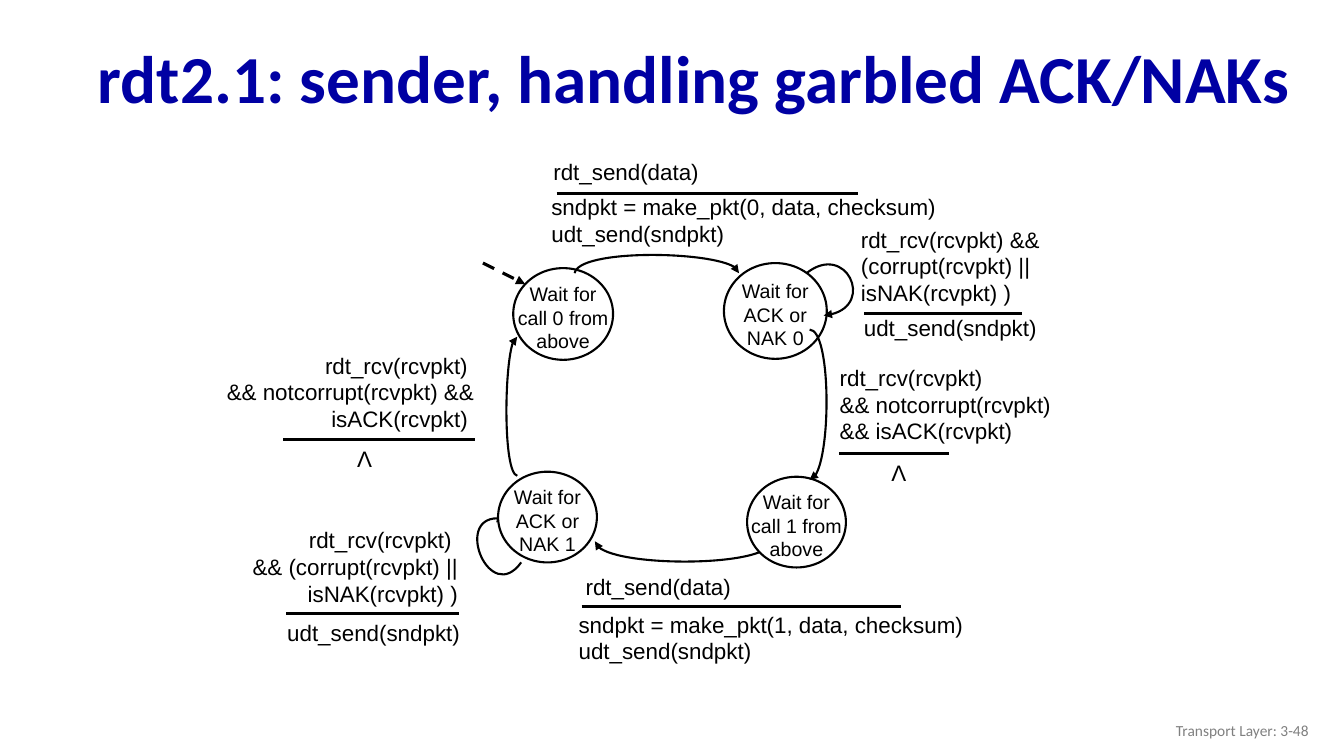
from lxml.etree import SubElement
from pptx import Presentation
from pptx.dml.color import RGBColor
from pptx.enum.dml import MSO_LINE
from pptx.enum.shapes import MSO_CONNECTOR, MSO_SHAPE
from pptx.enum.text import MSO_ANCHOR, PP_ALIGN
from pptx.oxml.ns import qn
from pptx.util import Inches, Pt

TITLE = "rdt2.1: sender, handling garbled ACK/NAKs"
FOOTER = "Transport Layer: 3-48"
L, C, R = PP_ALIGN.LEFT, PP_ALIGN.CENTER, PP_ALIGN.RIGHT

STATES = [
    ("Wait for\ncall 0 from\nabove", 5.09, 2.66, 0.99, 0.91),
    ("Wait for\nACK or\nNAK 0", 7.18, 2.61, 1.02, 0.95),
    ("Wait for\ncall 1 from\nabove", 7.41, 4.73, 0.98, 0.9),
    ("Wait for\nACK or\nNAK 1", 4.94, 4.68, 0.98, 0.9),
]
ARCS_BEHIND = [
    [(7.65, 5.37), (7.65, 5.62), (5.93, 5.64), (5.9, 5.37)],
    [(5.17, 5.58), (4.86, 6.01), (4.46, 5.05), (5.01, 5.15)],
]
ARCS_FRONT = [
    [(5.7, 2.71), (5.74, 2.47), (7.33, 2.49), (7.33, 2.71)],
    [(8, 2.71), (8.39, 2.4), (8.71, 3.08), (8.17, 3.13)],
    [(8.03, 3.27), (8.24, 3.27), (8.25, 4.73), (8.03, 4.76)],
    [(5.13, 4.72), (4.99, 4.69), (5, 3.34), (5.13, 3.34)],
]
LABELS = [
    ("rdt_send(data)", 5.39, 1.52, 2.31, 0.33, L),
    ("sndpkt = make_pkt(0, data, checksum)\nudt_send(sndpkt)", 5.37, 1.87, 4.04, 0.44, L),
    ("rdt_rcv(rcvpkt) &&\n(corrupt(rcvpkt) ||\nisNAK(rcvpkt) )", 8.44, 2.19, 3.48, 0.62, L),
    ("udt_send(sndpkt)", 8.47, 3.07, 2.47, 0.44, L),
    ("rdt_rcv(rcvpkt)\n&& notcorrupt(rcvpkt)\n&& isACK(rcvpkt)", 8.23, 3.56, 3.28, 0.62, L),
    ("Λ", 8.74, 4.51, 0.35, 0.37, C),
    ("rdt_send(data)", 5.71, 5.64, 2.61, 0.31, L),
    ("sndpkt = make_pkt(1, data, checksum)\nudt_send(sndpkt)", 5.64, 6.01, 4.12, 0.44, L),
    ("rdt_rcv(rcvpkt) \n&& (corrupt(rcvpkt) ||\nisNAK(rcvpkt) )", 2.03, 5.17, 2.61, 0.62, R),
    ("udt_send(sndpkt)", 2.75, 6.09, 1.99, 0.3, L),
    ("rdt_rcv(rcvpkt) \n&& notcorrupt(rcvpkt) &&\nisACK(rcvpkt) ", 0.84, 3.44, 3.96, 0.62, R),
    ("Λ", 3.44, 4.37, 0.35, 0.37, C),
]
RULES = [(5.52, 8.51, 1.92), (8.57, 10.14, 3.11), (8.32, 9.41, 4.5),
         (5.77, 8.94, 6.02), (2.84, 4.55, 6.09), (2.81, 4.71, 4.36)]


def rgb(color):
    return RGBColor.from_string(color)


def write(tf, text, size, font="Arial", color="000000", align=L, bold=False):
    tf.text = text
    for p in tf.paragraphs:
        p.alignment = align
        p.font.size, p.font.name, p.font.bold = Pt(size), font, bold
        p.font.color.rgb = rgb(color)


def add_text(text, x, y, w, h, align, size=16, **style):
    tf = s.shapes.add_textbox(*map(Inches, (x, y, w, h))).text_frame
    tf.word_wrap = True
    write(tf, text, size, align=align, **style)
    return tf


def outline(shape, width, arrow=False):
    shape.line.color.rgb = rgb("000000")
    shape.line.width = Pt(width)
    if arrow:
        SubElement(shape.line._get_or_add_ln(), qn("a:tailEnd"), type="triangle")


def add_line(x1, y1, x2, y2, dashed_arrow=False):
    line = s.shapes.add_connector(MSO_CONNECTOR.STRAIGHT, *map(Inches, (x1, y1, x2, y2)))
    if dashed_arrow:
        line.line.dash_style = MSO_LINE.DASH
    outline(line, 2.25, dashed_arrow)
    SubElement(line._element.spPr, qn("a:effectLst"))


def add_arc(points):
    """Draw a Bezier arrow from its start, two control points and end."""
    start, *rest = [(Inches(x), Inches(y)) for x, y in points]
    builder = s.shapes.build_freeform(*start)
    builder.add_line_segments(rest, close=False)
    arc = builder.convert_to_shape()
    arc.shadow.inherit = False
    arc.fill.background()
    outline(arc, 1.5, True)
    path = arc._element.spPr.find(".//" + qn("a:path"))
    segments = path.findall(qn("a:lnTo"))
    curve = SubElement(path, qn("a:cubicBezTo"))
    for segment in segments:
        curve.append(segment[0])
        path.remove(segment)


def add_state(text, x, y, w, h):
    state = s.shapes.add_shape(MSO_SHAPE.OVAL, *map(Inches, (x, y, w, h)))
    state.shadow.inherit = False
    state.fill.solid()
    state.fill.fore_color.rgb = rgb("FFFFFF")
    outline(state, 1.5)
    tf = state.text_frame
    tf.word_wrap = False
    tf.vertical_anchor = MSO_ANCHOR.MIDDLE
    tf.margin_left = tf.margin_right = tf.margin_bottom = 0
    tf.margin_top = Inches(0.07)
    write(tf, text, 14, align=C)


prs = Presentation()
prs.slide_width, prs.slide_height = Inches(13.33), Inches(7.5)
s = prs.slides.add_slide(prs.slide_layouts[5])

title = s.shapes.title
title.left, title.top, title.width, title.height = map(Inches, (0.87, 0.32, 12.14, 0.98))
title.text_frame.vertical_anchor = MSO_ANCHOR.MIDDLE
write(title.text_frame, TITLE, 48, "Calibri", "0000A3", bold=True)
title.text_frame.paragraphs[0].line_spacing = 0.9

for arc in ARCS_BEHIND:
    add_arc(arc)
for state in STATES:
    add_state(*state)
for arc in ARCS_FRONT:
    add_arc(arc)
add_line(4.79, 2.61, 5.21, 2.82, dashed_arrow=True)
for x1, x2, y in RULES:
    add_line(x1, y, x2, y)
for label in LABELS:
    add_text(*label)
footer = add_text(FOOTER, 10.08, 7.05, 3, 0.4, R, size=11, font="Calibri", color="808080")
footer.vertical_anchor = MSO_ANCHOR.MIDDLE

prs.save("out.pptx")
